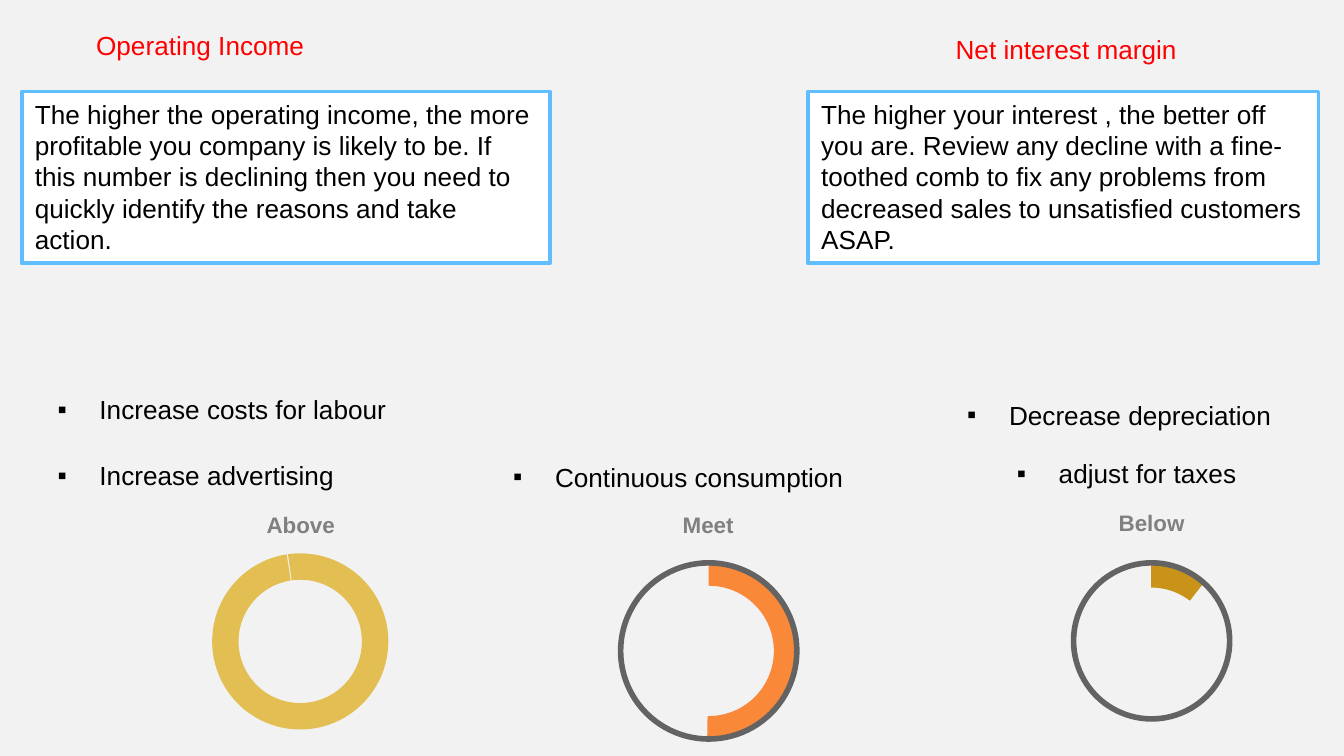
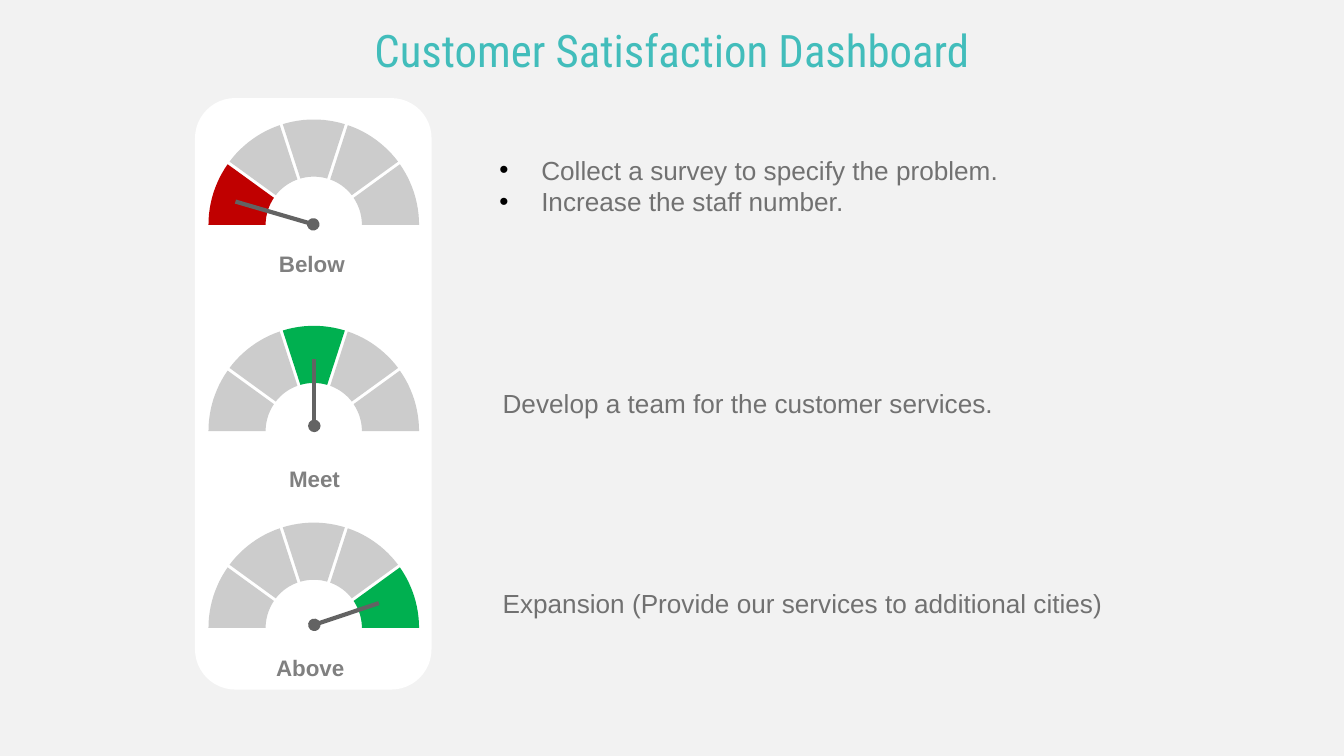
from math import asin, cos, pi, sin

from lxml.etree import SubElement
from pptx import Presentation
from pptx.dml.color import RGBColor
from pptx.enum.shapes import MSO_CONNECTOR, MSO_SHAPE
from pptx.enum.text import MSO_ANCHOR, MSO_AUTO_SIZE, PP_ALIGN
from pptx.oxml.ns import qn
from pptx.util import Cm, Pt

PAPER = RGBColor(0xF2, 0xF2, 0xF2)
WHITE = RGBColor(0xFF, 0xFF, 0xFF)
BLACK = RGBColor(0x00, 0x00, 0x00)
LABEL = RGBColor(0x80, 0x80, 0x80)
BODY = RGBColor(0x71, 0x71, 0x71)
DARK = RGBColor(0x63, 0x63, 0x63)
PALE = RGBColor(0xCC, 0xCC, 0xCC)
TEAL = RGBColor(0x42, 0xBD, 0xBB)
BLUE = RGBColor(0x60, 0xBE, 0xFF)
RED = RGBColor(0xFF, 0x00, 0x00)
BRICK = RGBColor(0xC0, 0x00, 0x00)
GREEN = RGBColor(0x00, 0xB0, 0x50)
SAND = RGBColor(0xE2, 0xBE, 0x53)
AMBER = RGBColor(0xFA, 0x88, 0x39)
OCHRE = RGBColor(0xC9, 0x93, 0x19)

LEFT, MID = PP_ALIGN.LEFT, PP_ALIGN.CENTER


class Deck:
    """Holds the style and the current slide, and draws each kind of element."""

    def __init__(self):
        self.show = Presentation()
        self.show.slide_width = Cm(25.4)
        self.show.slide_height = Cm(14.29)
        self.slide = None

    def page(self):
        self.slide = self.show.slides.add_slide(self.show.slide_layouts[6])
        fill = self.slide.background.fill
        fill.solid()
        fill.fore_color.rgb = PAPER

    def paint(self, shape, fill=None, line=None, width=1):
        shape.shadow.inherit = False
        if fill is None:
            shape.fill.background()
        else:
            shape.fill.solid()
            shape.fill.fore_color.rgb = fill
        if line is None:
            shape.line.fill.background()
        else:
            shape.line.color.rgb = line
            shape.line.width = Pt(width)

    def shape(self, kind, box, adjust=(), turn=0, **look):
        item = self.slide.shapes.add_shape(kind, *map(Cm, box))
        for i, value in enumerate(adjust):
            item.adjustments[i] = value
        item.rotation = turn
        self.paint(item, **look)
        return item

    def arc(self, x, y, adjust, fill):
        self.shape(MSO_SHAPE.BLOCK_ARC, (x, y, 3.33, 3.33), adjust, fill=fill)

    def ring(self, x, y, size):
        self.shape(MSO_SHAPE.OVAL, (x, y, size, size), line=DARK, width=3)

    def letter(self, item, lines, color, size=14, font="Arial", bold=False,
               align=LEFT, mark=None, wrap=True, grow=True):
        frame = item.text_frame
        frame.text = "\n".join(lines)
        frame.word_wrap = wrap
        frame.vertical_anchor = MSO_ANCHOR.TOP
        if grow:
            frame.auto_size = MSO_AUTO_SIZE.SHAPE_TO_FIT_TEXT
        for para in frame.paragraphs:
            para.alignment = align
            if mark:
                self.bullet(para, mark)
            for run in para.runs:
                run.font.name = font
                run.font.size = Pt(size)
                run.font.bold = bold
                run.font.color.rgb = color

    def bullet(self, para, mark):
        props = para._p.get_or_add_pPr()
        props.set("marL", str(Cm(0.79)))
        props.set("indent", str(-Cm(0.79)))
        tint = SubElement(props, qn("a:buClr"))
        SubElement(tint, qn("a:srgbClr"), val=str(BLACK))
        SubElement(props, qn("a:buFont"), typeface="Arial")
        SubElement(props, qn("a:buChar"), char=mark)

    def text(self, box, *lines, color=BLACK, **style):
        item = self.slide.shapes.add_textbox(*map(Cm, box))
        self.letter(item, lines, color, **style)

    def title(self, words):
        self.text((0, 0.3, 25.4, 1.27), words, color=TEAL, size=24,
                  font="Roboto Condensed", align=MID, grow=False)

    def label(self, x, y, words):
        self.text((x, y, 4.47, 0.76), words, color=LABEL, size=12, bold=True, align=MID)

    def card(self, x, width, words):
        item = self.shape(MSO_SHAPE.RECTANGLE, (x, 1.73, width, 3.25),
                          fill=WHITE, line=BLUE, width=2)
        self.letter(item, [words], BLACK)

    def gauge(self, x, y, hot, color, outer=1.99, inner=0.91, gap=0.03, steps=12):
        group = self.slide.shapes.add_group_shape()
        for i in range(5):
            points = []
            for size in (outer, inner):
                trim = asin(gap / size)
                start = i * pi / 5 + (trim if i > 0 else 0)
                end = (i + 1) * pi / 5 - (trim if i < 4 else 0)
                turns = [start + (end - start) * k / steps for k in range(steps + 1)]
                edge = [(Cm(x - size * cos(a)), Cm(y - size * sin(a))) for a in turns]
                points += edge if size == outer else edge[::-1]
            pen = group.shapes.build_freeform(*points[0])
            pen.add_line_segments(points[1:], close=True)
            self.paint(pen.convert_to_shape(), fill=color if i == hot else PALE)

    def needle(self, *ends):
        item = self.slide.shapes.add_connector(MSO_CONNECTOR.STRAIGHT, *map(Cm, ends))
        item.line.color.rgb = DARK
        item.line.width = Pt(2.25)
        props = item._element.spPr
        SubElement(props.find(qn("a:ln")), qn("a:headEnd"), type="oval")
        SubElement(props, qn("a:effectLst"))


def income(deck):
    deck.page()
    deck.arc(20.09, 10.64, (162.01, 184.62, 0.14), OCHRE)
    deck.arc(4.01, 10.46, (157.2, 156.67, 0.15), SAND)
    deck.arc(11.73, 10.64, (162.01, 54.59, 0.13), AMBER)
    deck.ring(11.73, 10.64, 3.33)
    deck.ring(20.29, 10.64, 2.95)
    deck.label(19.53, 9.5, "Below")
    deck.label(11.15, 9.53, "Meet")
    deck.label(3.45, 9.53, "Above")
    deck.card(0.41, 9.98, "The higher the operating income, the more profitable you company "
              "is likely to be. If this number is declining then you need to quickly "
              "identify the reasons and take action.")
    deck.text((1.55, 0.43, 4.47, 0.86), "Operating Income", color=RED, align=MID, wrap=False)
    deck.card(15.27, 9.65, "The higher your interest , the better off you are. Review any "
              "decline with a fine-toothed comb to fix any problems from decreased sales "
              "to unsatisfied customers ASAP.")
    deck.text((17.81, 0.51, 4.72, 0.86), "Net interest margin", color=RED, wrap=False)
    for x, y, width, words, wrap in (
        (18.97, 8.53, 4.67, "adjust for taxes", False),
        (0.84, 7.32, 6.76, "Increase costs for labour", False),
        (18.03, 7.42, 7.14, "Decrease depreciation", True),
        (0.84, 8.56, 5.77, "Increase advertising", False),
        (9.45, 8.59, 6.78, "Continuous consumption", False),
    ):
        deck.text((x, y, width, 0.86), words, mark="▪", wrap=wrap)


def survey(deck):
    deck.page()
    deck.title("Customer Satisfaction Dashboard")
    deck.shape(MSO_SHAPE.ROUNDED_RECTANGLE, (0.33, 5.21, 11.18, 4.47), (0.17,),
               turn=90, fill=WHITE)
    for y, hot, color, ends in (
        (4.25, 0, BRICK, (5.92, 4.24, 4.45, 3.81)),
        (8.15, 2, GREEN, (5.94, 8.05, 5.94, 6.78)),
        (11.87, 4, GREEN, (5.94, 11.81, 7.16, 11.4)),
    ):
        deck.gauge(5.93, y, hot, color)
        deck.needle(*ends)
    deck.label(3.66, 4.6, "Below")
    deck.label(3.71, 8.66, "Meet")
    deck.label(3.63, 12.24, "Above")
    deck.text((9.19, 2.79, 14.68, 2.06), "Collect a survey to specify the problem.",
              "Increase the staff number.", color=BODY, mark="•")
    deck.text((9.25, 7.19, 14.68, 0.86), "Develop a team for the customer services.",
              color=BODY)
    deck.text((9.25, 10.97, 14.68, 0.86),
              "Expansion (Provide our services to additional cities)", color=BODY)


def main():
    deck = Deck()
    income(deck)
    survey(deck)
    deck.show.save("out.pptx")


if __name__ == "__main__":
    main()
